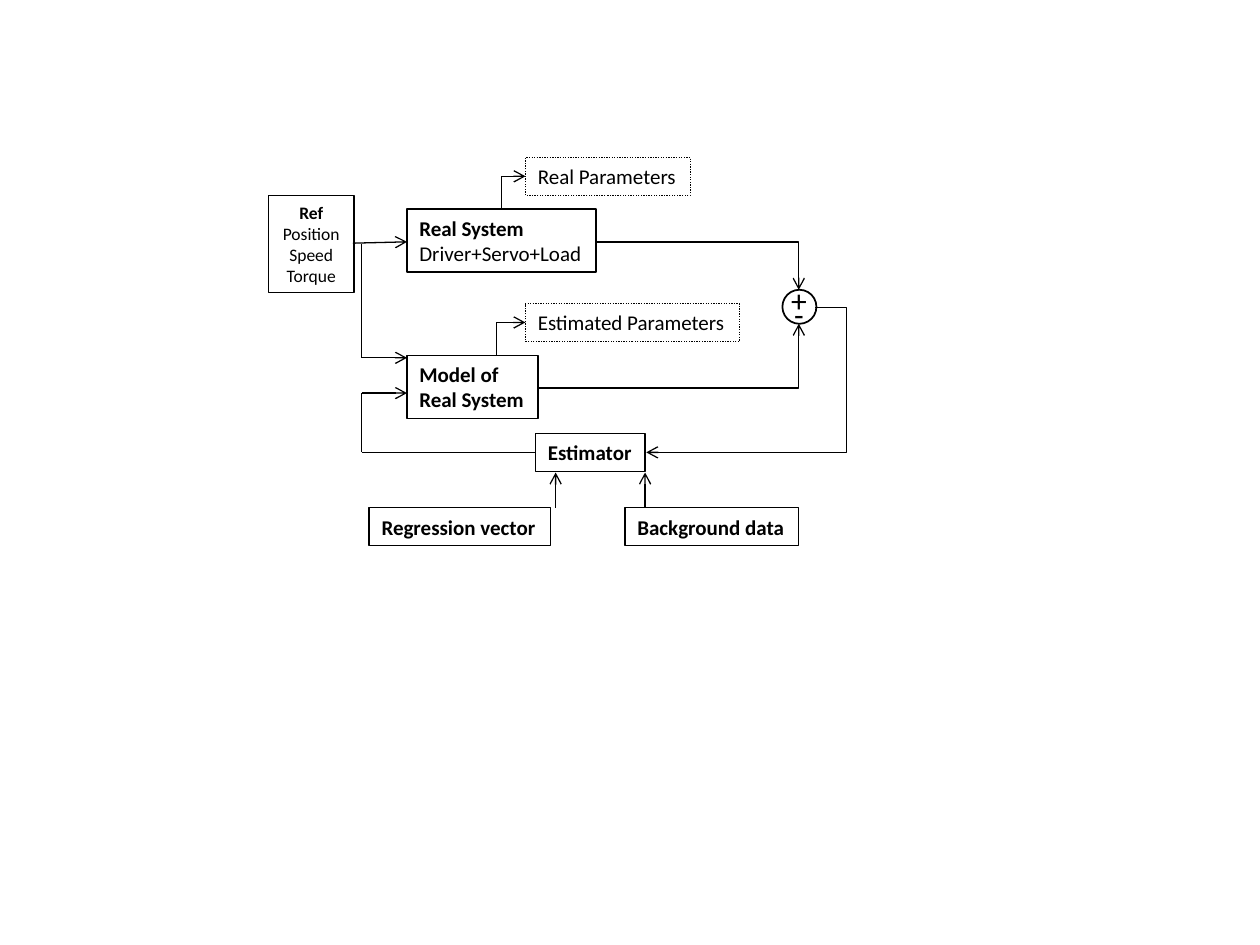
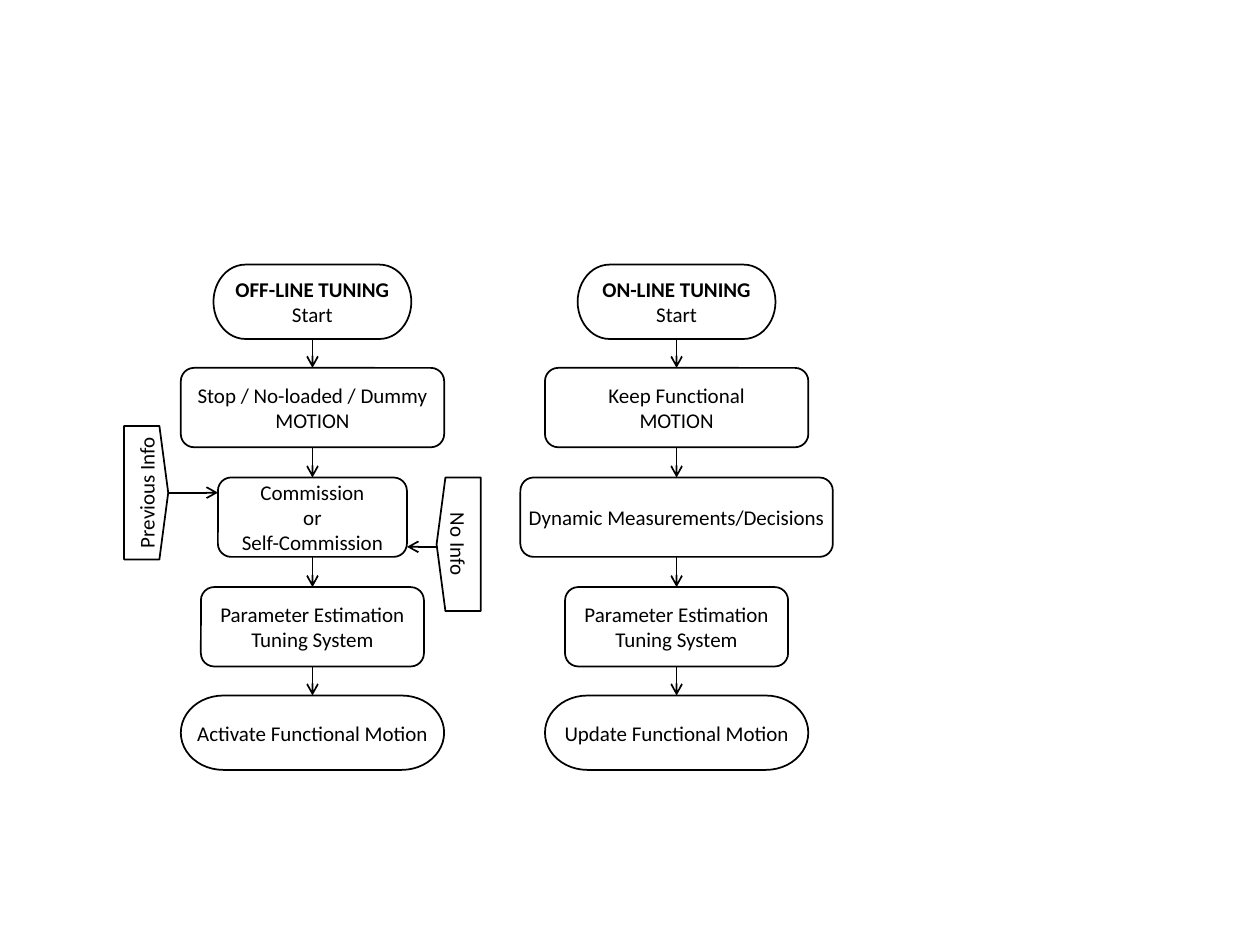
from dataclasses import dataclass
from itertools import pairwise

from lxml.etree import SubElement
from pptx import Presentation
from pptx.dml.color import RGBColor
from pptx.enum.dml import MSO_LINE
from pptx.enum.shapes import MSO_CONNECTOR as Connector, MSO_SHAPE as Preset
from pptx.enum.text import MSO_ANCHOR as Anchor, PP_ALIGN as Align
from pptx.oxml.ns import qn
from pptx.util import Inches, Pt


@dataclass(frozen=True)
class Theme:
    ink: RGBColor = RGBColor(0, 0, 0)
    font: str = "Calibri"
    small: int = 10
    body: int = 12
    sign: int = 18
    thin: float = 0.75
    medium: float = 1


class Diagram:
    def __init__(self, deck, theme, weight):
        self.theme = theme
        self.weight = weight
        self.page = deck.slides.add_slide(deck.slide_layouts[6])

    def label(self, frame, lines, size=None, bold_lines=0, align=Align.CENTER, inset=0):
        frame.word_wrap = False
        frame.vertical_anchor = Anchor.MIDDLE
        frame.margin_left = frame.margin_right = Inches(inset)
        frame.margin_top = frame.margin_bottom = 0
        for index, line in enumerate(lines):
            para = frame.add_paragraph() if index else frame.paragraphs[0]
            para.text = line
            para.alignment = align
            para.font.name = self.theme.font
            para.font.size = Pt(size or self.theme.body)
            para.font.bold = index < bold_lines
            para.font.color.rgb = self.theme.ink

    def outline(self, preset, left, top, width, height, weight=None):
        box = self.page.shapes.add_shape(
            preset, Inches(left), Inches(top), Inches(width), Inches(height))
        box.shadow.inherit = False
        box.fill.background()
        box.line.color.rgb = self.theme.ink
        box.line.width = Pt(weight or self.weight)
        return box

    def block(self, left, top, width, height, lines, bold_lines=0,
              size=None, align=Align.LEFT, dotted=False):
        box = self.outline(Preset.RECTANGLE, left, top, width, height)
        if dotted:
            box.line.dash_style = MSO_LINE.ROUND_DOT
        self.label(box.text_frame, lines, size, bold_lines, align, inset=0.1)

    def stage(self, preset, center, top, width, height, lines, bold_lines=0):
        box = self.outline(preset, center - width / 2, top, width, height)
        self.label(box.text_frame, lines, bold_lines=bold_lines)

    def tag(self, center, middle, angle, caption):
        width, height = 1.06, 0.35
        box = self.outline(Preset.FLOWCHART_OFFPAGE_CONNECTOR,
                           center - width / 2, middle - height / 2, width, height)
        box.rotation = angle
        self.label(box.text_frame, [caption])
        box.text_frame.margin_top = Inches(0.07)

    def sign(self, center, top, symbol):
        width = 0.22
        box = self.page.shapes.add_textbox(
            Inches(center - width / 2), Inches(top), Inches(width), Inches(0.3))
        self.label(box.text_frame, [symbol], self.theme.sign)

    def line(self, start, end, arrow=True, kind=Connector.STRAIGHT):
        link = self.page.shapes.add_connector(kind, *map(Inches, (*start, *end)))
        link.line.color.rgb = self.theme.ink
        link.line.width = Pt(self.weight)
        if arrow:
            SubElement(link.get_or_add_ln(), qn("a:tailEnd"), type="arrow")
        properties = link._element.spPr
        SubElement(properties, qn("a:effectLst"))
        return properties

    def corner(self, start, end):
        properties = self.line(start, end, kind=Connector.ELBOW)
        properties.find(qn("a:prstGeom")).set("prst", "bentConnector2")
        return properties

    def rising_corner(self, start, end):
        center, middle = (start[0] + end[0]) / 2, (start[1] + end[1]) / 2
        half_run, half_rise = (end[0] - start[0]) / 2, (start[1] - end[1]) / 2
        properties = self.corner((center + half_rise, middle + half_run),
                                 (center - half_rise, middle - half_run))
        properties.find(qn("a:xfrm")).set("rot", "5400000")

    def detour(self, start, end, bend):
        properties = self.line(start, end, kind=Connector.ELBOW)
        ratio = round((bend - start[0]) / (end[0] - start[0]) * 100000)
        guides = properties.find(qn("a:prstGeom")).find(qn("a:avLst"))
        SubElement(guides, qn("a:gd"), name="adj1", fmla=f"val {ratio}")


def build_estimation_loop(deck, theme):
    diagram = Diagram(deck, theme, theme.thin)
    one_line, two_lines = 0.3, 0.5
    system_left, parameter_left = 3.23, 4.17
    feed, sum_center, estimator_middle = 2.87, 6.34, 3.59
    model_input, estimate_input = 2.84, 3.12
    data_top, estimator_bottom = 4.03, 3.75

    diagram.block(2.13, 1.55, 0.68, 0.77, ["Ref", "Position", "Speed", "Torque"],
                  1, theme.small, Align.CENTER)
    diagram.block(system_left, 1.66, 1.5, two_lines, ["Real System", "Driver+Servo+Load"], 1)
    diagram.block(system_left, 2.82, 1.04, two_lines, ["Model of", "Real System"], 2)
    diagram.block(4.25, 3.44, 0.87, one_line, ["Estimator"], 1)
    diagram.block(2.93, data_top, 1.44, one_line, ["Regression vector"], 1)
    diagram.block(4.96, data_top, 1.38, one_line, ["Background data"], 1)
    diagram.block(parameter_left, 1.25, 1.31, one_line, ["Real Parameters"], dotted=True)
    diagram.block(parameter_left, 2.41, 1.7, one_line, ["Estimated Parameters"], dotted=True)

    diagram.line((2.8, 1.93), (system_left, 1.92))
    for level in (model_input, estimate_input):
        diagram.line((feed, level), (system_left, level))
    diagram.line((feed, model_input), (feed, 1.94), arrow=False)
    diagram.line((feed, estimate_input), (feed, estimator_middle), arrow=False)
    diagram.line((feed, estimator_middle), (4.25, estimator_middle), arrow=False)
    for across in (4.41, 5.12):
        diagram.line((across, data_top), (across, estimator_bottom))

    diagram.corner((4.73, 1.92), (sum_center, 2.3))
    diagram.corner((4.27, 3.08), (sum_center, 2.57))
    diagram.rising_corner((3.98, 1.66), (parameter_left, 1.4))
    diagram.rising_corner((3.94, 2.82), (parameter_left, 2.56))
    diagram.detour((6.47, 2.44), (5.13, estimator_middle), bend=6.72)

    diagram.sign(sum_center, 2.23, "+")
    diagram.sign(sum_center, 2.34, "-")
    diagram.outline(Preset.OVAL, 6.21, 2.3, 0.27, 0.27, theme.medium)


def build_tuning_flows(deck, theme):
    diagram = Diagram(deck, theme, theme.medium)
    terminator = Preset.FLOWCHART_TERMINATOR, 0.59
    process = Preset.FLOWCHART_ALTERNATE_PROCESS, 0.63
    rows = [(2.1, *terminator), (2.92, *process), (3.79, *process),
            (4.66, *process), (5.52, *terminator)]
    estimation = (1.77, ["Parameter Estimation", "Tuning System"])
    flows = {
        2.48: [
            (1.57, ["OFF-LINE TUNING", "Start"]),
            (2.09, ["Stop / No-loaded / Dummy", "MOTION"]),
            (1.5, ["Commission", "or", "Self-Commission"]),
            estimation,
            (2.09, ["Activate Functional Motion"]),
        ],
        5.37: [
            (1.57, ["ON-LINE TUNING", "Start"]),
            (2.09, ["Keep Functional", "MOTION"]),
            (2.48, ["Dynamic Measurements/Decisions"]),
            estimation,
            (2.09, ["Update Functional Motion"]),
        ],
    }
    for center, stages in flows.items():
        for row, ((top, preset, height), (width, lines)) in enumerate(zip(rows, stages)):
            diagram.stage(preset, center, top, width, height, lines, int(row == 0))
        for (top, _, height), (next_top, _, _) in pairwise(rows):
            diagram.line((center, top + height), (center, next_top))

    diagram.tag(1.16, 3.91, 270, "Previous Info")
    diagram.tag(3.64, 4.32, 90, "No Info")
    diagram.line((1.34, 3.91), (1.73, 3.91))
    diagram.line((3.46, 4.34), (3.23, 4.34))


def main():
    deck = Presentation()
    deck.slide_width, deck.slide_height = Inches(10), Inches(7.5)
    theme = Theme()
    build_estimation_loop(deck, theme)
    build_tuning_flows(deck, theme)
    deck.save("out.pptx")


if __name__ == "__main__":
    main()
